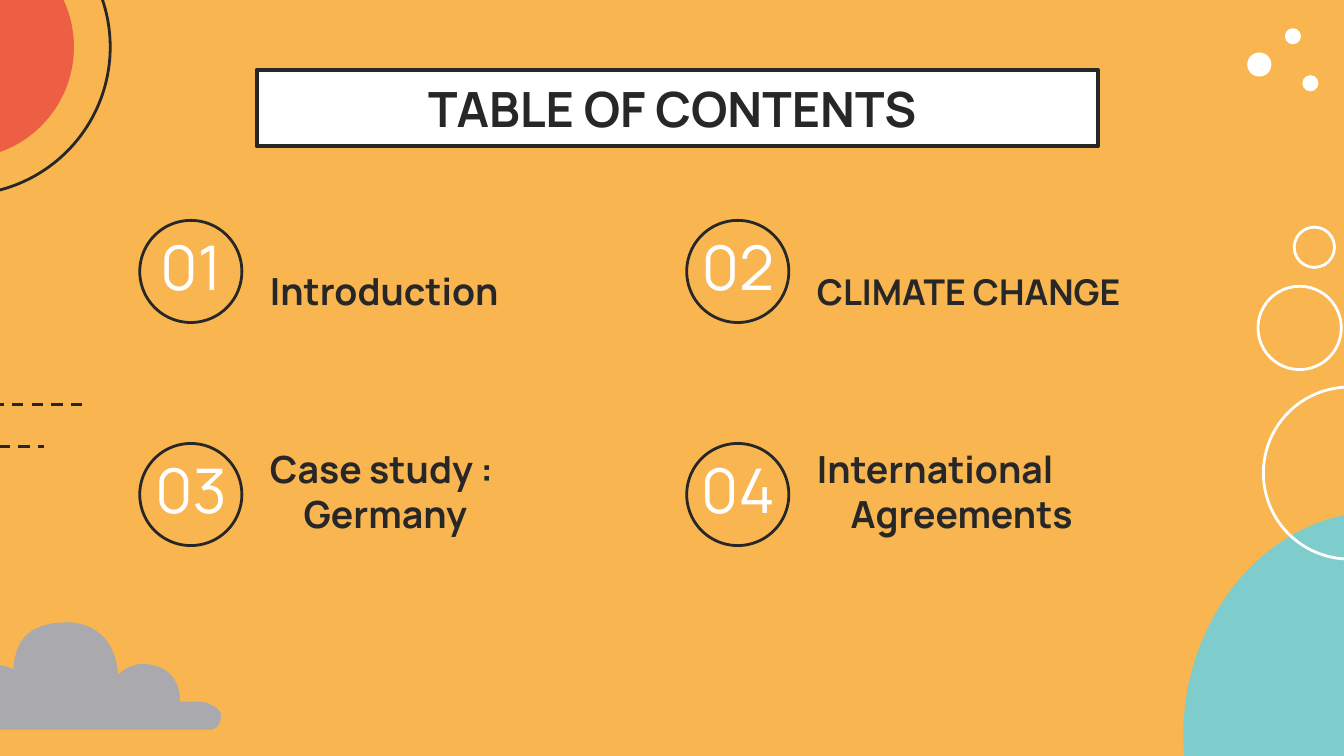
from lxml import etree
from pptx import Presentation
from pptx.dml.color import RGBColor
from pptx.enum.dml import MSO_LINE
from pptx.enum.shapes import MSO_CONNECTOR, MSO_SHAPE
from pptx.enum.text import MSO_ANCHOR as ANCHOR, MSO_AUTO_SIZE as FIT, PP_ALIGN as ALIGN
from pptx.oxml.ns import qn
from pptx.util import Inches, Pt

INK = RGBColor(0x27, 0x27, 0x27)
WHITE = RGBColor(0xFF, 0xFF, 0xFF)
AMBER = RGBColor(0xF9, 0xB5, 0x50)
CORAL = RGBColor(0xEC, 0x5F, 0x44)
TEAL = RGBColor(0x7E, 0xCC, 0xCC)
GREY = RGBColor(0xA9, 0xA9, 0xAE)
FONT = "Manrope"
UNITS = 1000  # freeform units to the inch

# Cloud outline from its box corner: a start, then two controls and an end per curve
CLOUD_START = (1.64, 0)
CLOUD = [
    (1.34, 0, 1.25, .15, 1.24, .35), (1.2, .33, 1.16, .32, 1.13, .32),
    (1.03, .32, .94, .38, .93, .52), (.92, .49, .9, .47, .87, .46),
    (.86, .45, .84, .44, .82, .44), (.81, .44, .81, .45, .8, .45),
    (.77, .45, .74, .46, .71, .48), (.68, .5, .67, .53, .66, .57),
    (.64, .51, .59, .48, .54, .46), (.52, .46, .49, .45, .47, .45),
    (.44, .45, .4, .46, .36, .47), (.32, .49, .27, .52, .24, .56),
    (.21, .6, .18, .64, .19, .69), (.17, .67, .14, .66, .12, .66),
    (.09, .66, .07, .67, .05, .68), (.04, .69, .03, .7, .03, .71),
    (.02, .72, .01, .73, .01, .74), (0, .77, .02, .8, .04, .81),
    (.4, .8, .77, .8, 1.15, .8), (1.33, .8, 1.51, .8, 1.69, .8),
    (2.03, .8, 2.37, .8, 2.7, .8), (2.76, .8, 2.8, .73, 2.78, .67),
    (2.77, .66, 2.76, .64, 2.74, .63), (2.72, .62, 2.7, .61, 2.68, .6),
    (2.64, .59, 2.6, .59, 2.55, .59), (2.53, .59, 2.5, .59, 2.48, .59),
    (2.48, .48, 2.44, .38, 2.32, .33), (2.28, .32, 2.24, .31, 2.21, .31),
    (2.14, .31, 2.07, .34, 2.02, .39), (2.01, .28, 1.98, .17, 1.89, .09),
    (1.82, .03, 1.73, 0, 1.64, 0),
]


def paint(shape, fill=None, line=None, width=1.5):
    shape.shadow.inherit = False
    if fill is None:
        shape.fill.background()
    else:
        shape.fill.solid()
        shape.fill.fore_color.rgb = fill
    if line is None:
        shape.line.fill.background()
    else:
        shape.line.color.rgb = line
        shape.line.width = Pt(width)


def add_shape(slide, kind, box, **look):
    shape = slide.shapes.add_shape(kind, *map(Inches, box))
    paint(shape, **look)
    return shape


def add_disc(slide, x, y, radius, **look):
    """Draw a circle around the centre x, y."""
    box = (x - radius, y - radius, 2 * radius, 2 * radius)
    add_shape(slide, MSO_SHAPE.OVAL, box, **look)


def write(shape, text, anchor, align, hang=0, **style):
    frame = shape.text_frame
    margins = {f"margin_{side}": Inches(0.1) for side in ("left", "right", "top", "bottom")}
    layout = {"word_wrap": True, "auto_size": FIT.NONE, "vertical_anchor": anchor, **margins}
    for name, value in layout.items():
        setattr(frame, name, value)
    para = frame.paragraphs[0]
    para.alignment = align
    if hang:
        props = para._p.get_or_add_pPr()
        props.set("marL", str(Inches(hang)))
        props.set("indent", str(-Inches(hang)))
    run = para.add_run()
    run.text = text
    color = style.pop("color")
    for name, value in {"name": FONT, **style}.items():
        setattr(run.font, name, value)
    run.font.color.rgb = color


def add_text(slide, box, text, *place, **style):
    write(slide.shapes.add_textbox(*map(Inches, box)), text, *place, **style)


def bend(start, curve, steps=8):
    """Return points along a cubic curve, in freeform units."""
    points = [start, curve[:2], curve[2:4], curve[4:]]
    for step in range(1, steps + 1):
        t = step / steps
        parts = ((1 - t) ** 3, 3 * t * (1 - t) ** 2, 3 * t * t * (1 - t), t ** 3)
        yield tuple(UNITS * sum(w * p[axis] for w, p in zip(parts, points)) for axis in (0, 1))


def add_cloud(slide, x, y):
    points, start = [], CLOUD_START
    for curve in CLOUD:
        points += bend(start, curve)
        start = curve[4:]
    pen = slide.shapes.build_freeform(*points[-1], scale=Inches(1) / UNITS)
    pen.add_line_segments(points, close=True)
    paint(pen.convert_to_shape(Inches(x), Inches(y)), fill=GREY)


def add_dash(slide, x, y, length):
    ends = map(Inches, (x, y, x + length, y))
    dash = slide.shapes.add_connector(MSO_CONNECTOR.STRAIGHT, *ends)
    dash.line.color.rgb = INK
    dash.line.width = Pt(1.5)
    dash.line.dash_style = MSO_LINE.DASH
    etree.SubElement(dash._element.spPr, qn("a:effectLst"))


def add_sun(slide, x, y):
    add_disc(slide, x, y, 1.1, line=INK)
    add_disc(slide, x, y, 0.83, fill=CORAL)


def add_dots(slide, x, y):
    for dx, dy, radius in ((0.09, 0.27, 0.09), (0.34, 0.06, 0.06), (0.47, 0.41, 0.06)):
        add_disc(slide, x + dx, y + dy, radius, fill=WHITE)


def add_rings(slide, x, y):
    for dx, dy, radius in ((0.7, 1.83, 0.64), (0.33, 0.75, 0.31), (0.44, 0.15, 0.15)):
        add_disc(slide, x + dx, y + dy, radius, line=WHITE)


def add_decor(slide):
    add_sun(slide, -0.28, 0.35)
    hill = add_shape(slide, MSO_SHAPE.OVAL, (8.82, 3.8, 2.59, 3.08), fill=TEAL)
    hill.rotation = 14
    add_dots(slide, 9.28, 0.21)
    add_dash(slide, -1.47, 3.32, 1.8)
    add_dash(slide, -0.64, 3.01, 1.27)
    add_cloud(slide, -1.14, 4.63)
    add_rings(slide, 9.34, 1.69)


def add_title(slide, x, y, w, h):
    banner = (x + 0.84, y + 0.03, w - 1.61, h - 0.06)
    add_shape(slide, MSO_SHAPE.RECTANGLE, banner, fill=WHITE, line=INK, width=2.25)
    title = slide.shapes.title
    for name, value in zip(("left", "top", "width", "height"), (x, y, w, h)):
        setattr(title, name, Inches(value))
    tree = slide.shapes._spTree
    tree.remove(title._element)
    tree.append(title._element)
    write(title, "TABLE OF CONTENTS", ANCHOR.MIDDLE, ALIGN.CENTER,
          size=Pt(26), bold=True, color=INK)


def add_entry(slide, x, y, number, label, size=20, hang=0.25):
    add_text(slide, (x, y + 0.12, 0.98, 0.58), number, ANCHOR.MIDDLE, ALIGN.CENTER,
             size=Pt(33), color=WHITE)
    add_text(slide, (x + 0.98, y, 3.02, 0.86), label, ANCHOR.BOTTOM, ALIGN.LEFT,
             hang=hang, size=Pt(size), bold=True, color=INK)
    add_disc(slide, x + 0.49, y + 0.45, 0.38, line=INK)


def main():
    deck = Presentation()
    deck.slide_width = Inches(10)
    deck.slide_height = deck.slide_width * 9 // 16
    slide = deck.slides.add_slide(deck.slide_layouts[5])
    slide.background.fill.solid()
    slide.background.fill.fore_color.rgb = AMBER
    add_decor(slide)
    add_title(slide, 1.07, 0.49, 7.87, 0.63)
    entries = [
        ("01", "Introduction"),
        ("02", "CLIMATE CHANGE", 19, 0),
        ("03", "Case study : Germany"),
        ("04", "International Agreements"),
    ]
    for index, entry in enumerate(entries):
        row, col = divmod(index, 2)
        add_entry(slide, 0.93 + 4.07 * col, 1.57 + 1.66 * row, *entry)
    deck.save("out.pptx")


if __name__ == "__main__":
    main()
